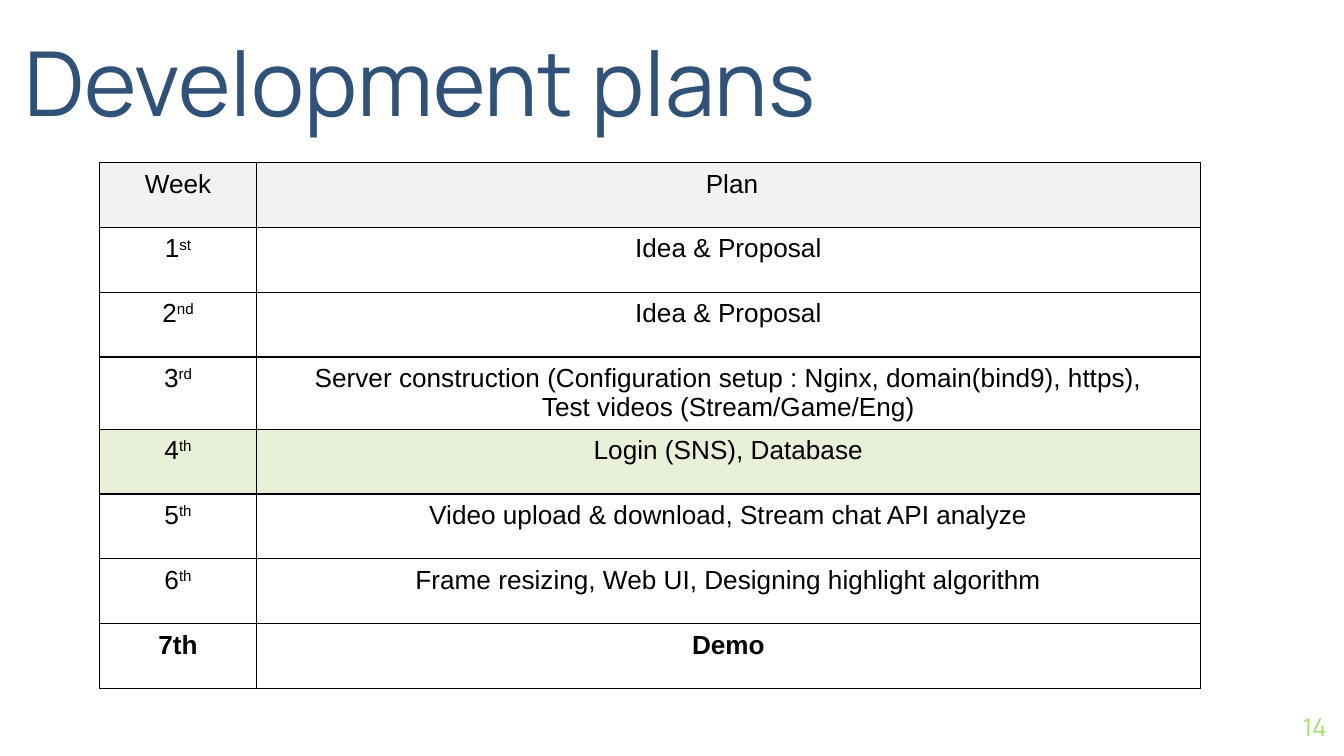
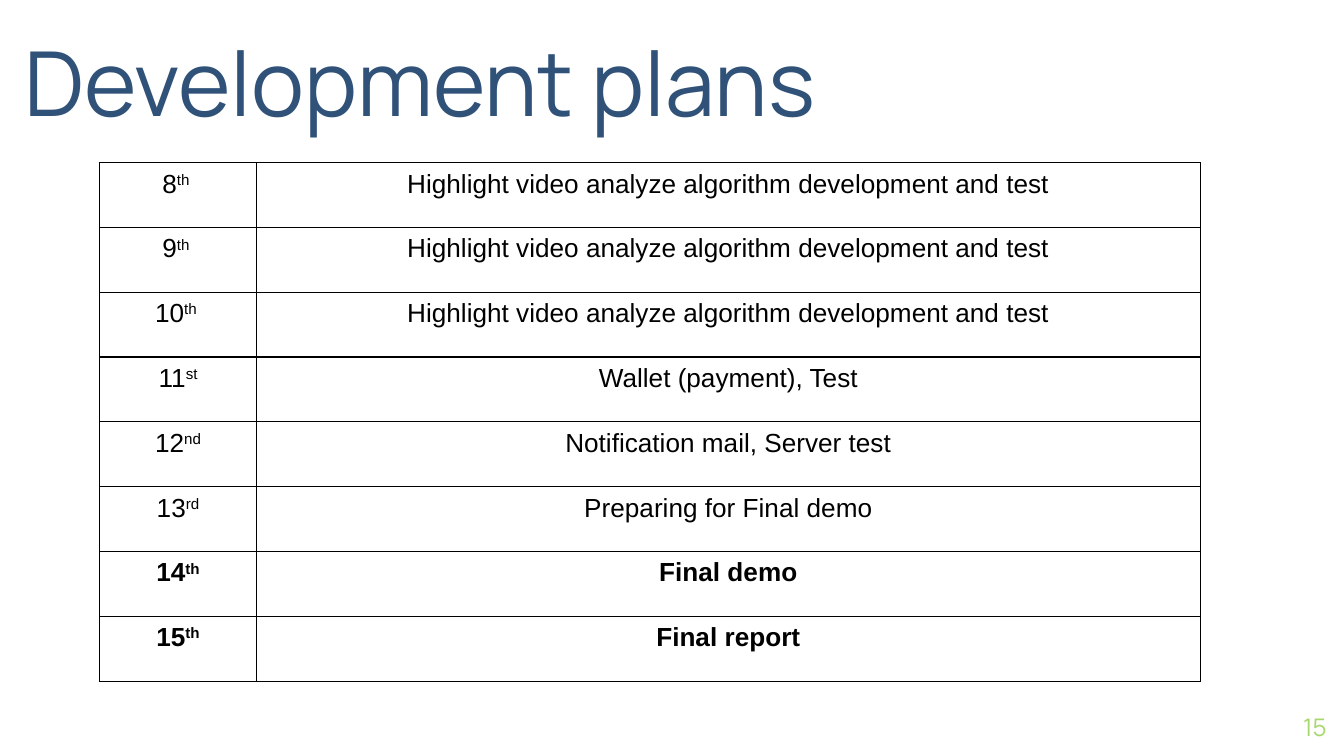
from dataclasses import dataclass

import pptx
import pptx.dml.color
import pptx.enum.text
import pptx.oxml.ns
import pptx.presentation
import pptx.slide
import pptx.table
import pptx.text.text
import pptx.util
from lxml import etree

Inches = pptx.util.Inches
Pt = pptx.util.Pt
RGB = pptx.dml.color.RGBColor
Align = pptx.enum.text.PP_ALIGN
Anchor = pptx.enum.text.MSO_ANCHOR


@dataclass(frozen=True)
class Theme:
    title_font: str = "Manrope"
    body_font: str = "Arial"
    title_size: int = 48
    body_size: int = 14
    number_size: int = 13
    title: str = "305178"
    number: str = "A7D86D"
    text: str = "000000"
    border: str = "000000"
    border_width: float = 0.75
    white: str = "FFFFFF"
    header: str = "F2F2F2"
    current: str = "E8F0D8"


THEME = Theme()


@dataclass(frozen=True)
class PlanRow:
    week: str
    plan: str
    suffix: str = ""
    fill: str = THEME.white
    bold: bool = False


@dataclass(frozen=True)
class PlanSlide:
    number: int
    rows: list[PlanRow]


ANALYSIS = "Highlight video analyze algorithm development and test"

SLIDES = [
    PlanSlide(14, [
        PlanRow("Week", " Plan", fill=THEME.header),
        PlanRow("1", "Idea & Proposal", "st"),
        PlanRow("2", "Idea & Proposal", "nd"),
        PlanRow("3", "Server construction (Configuration setup : Nginx, domain(bind9), https),\n"
                     "Test videos (Stream/Game/Eng)", "rd"),
        PlanRow("4", "Login (SNS), Database", "th", fill=THEME.current),
        PlanRow("5", "Video upload & download, Stream chat API analyze", "th"),
        PlanRow("6", "Frame resizing, Web UI, Designing highlight algorithm", "th"),
        PlanRow("7th", "Demo", bold=True),
    ]),
    PlanSlide(15, [
        PlanRow("8", ANALYSIS, "th "),
        PlanRow("9", ANALYSIS, "th "),
        PlanRow("10", ANALYSIS, "th "),
        PlanRow("11", "Wallet (payment), Test", "st"),
        PlanRow("12", "Notification mail, Server test", "nd"),
        PlanRow("13", "Preparing for Final demo", "rd"),
        PlanRow("14", "Final demo", "th", bold=True),
        PlanRow("15", "Final report", "th", bold=True),
    ]),
]


def style_font(r: pptx.text.text._Run, name: str, size: int, color: str,
               bold: bool = False) -> None:
    r.font.name = name
    r.font.size = Pt(size)
    r.font.color.rgb = RGB.from_string(color)
    r.font.bold = bold


def add_label(s: pptx.slide.Slide, text: str, box: tuple[float, float, float, float],
              size: int, color: str, align: Align, anchor: Anchor) -> None:
    """Add one line of title-font text without insets."""
    tf = s.shapes.add_textbox(*map(Inches, box)).text_frame
    tf.word_wrap = True
    tf.margin_left = tf.margin_right = tf.margin_top = tf.margin_bottom = 0
    tf.vertical_anchor = anchor
    tf.text = text
    p = tf.paragraphs[0]
    p.alignment = align
    style_font(p.runs[0], THEME.title_font, size, color)


def add_borders(cell: pptx.table._Cell) -> None:
    qn = pptx.oxml.ns.qn
    tc_pr = cell._tc.get_or_add_tcPr()
    for side in ("lnL", "lnR", "lnT", "lnB"):
        ln = etree.SubElement(tc_pr, qn(f"a:{side}"), w=str(Pt(THEME.border_width)))
        fill = etree.SubElement(ln, qn("a:solidFill"))
        etree.SubElement(fill, qn("a:srgbClr"), val=THEME.border)


def fill_cell(cell: pptx.table._Cell, text: str, row: PlanRow, suffix: str = "") -> None:
    """Write a bordered cell, with the suffix raised after the text."""
    add_borders(cell)
    cell.margin_bottom = Inches(0.02)
    cell.fill.solid()
    cell.fill.fore_color.rgb = RGB.from_string(row.fill)
    tf = cell.text_frame
    tf.text = text
    if suffix:
        r = tf.paragraphs[0].add_run()
        r.text = suffix
        r.font._element.set("baseline", "30000")
    for p in tf.paragraphs:
        p.alignment = Align.CENTER
        for r in p.runs:
            style_font(r, THEME.body_font, THEME.body_size, THEME.text, row.bold)


def add_plan_table(s: pptx.slide.Slide, rows: list[PlanRow]) -> None:
    table = s.shapes.add_table(len(rows), 2, Inches(0.74), Inches(1.21),
                               Inches(8.19), Inches(3.86)).table
    table.first_row = table.horz_banding = False
    for column, width in zip(table.columns, (1.17, 7.02)):
        column.width = Inches(width)
    for i, row in enumerate(rows):
        fill_cell(table.cell(i, 0), row.week, row, row.suffix)
        fill_cell(table.cell(i, 1), row.plan, row)


def add_plan_slide(prs: pptx.presentation.Presentation, plan: PlanSlide) -> None:
    s = prs.slides.add_slide(prs.slide_layouts[6])
    s.background.fill.solid()
    s.background.fill.fore_color.rgb = RGB.from_string(THEME.white)
    add_label(s, str(plan.number), (9.27, 5.19, 0.6, 0.43), THEME.number_size,
              THEME.number, Align.RIGHT, Anchor.MIDDLE)
    add_label(s, "Development plans", (0.18, 0.06, 6.89, 0.94), THEME.title_size,
              THEME.title, Align.LEFT, Anchor.BOTTOM)
    add_plan_table(s, plan.rows)


def main() -> None:
    prs = pptx.Presentation()
    prs.slide_width = Inches(10)
    prs.slide_height = prs.slide_width * 9 // 16
    for plan in SLIDES:
        add_plan_slide(prs, plan)
    prs.save("out.pptx")


if __name__ == "__main__":
    main()
